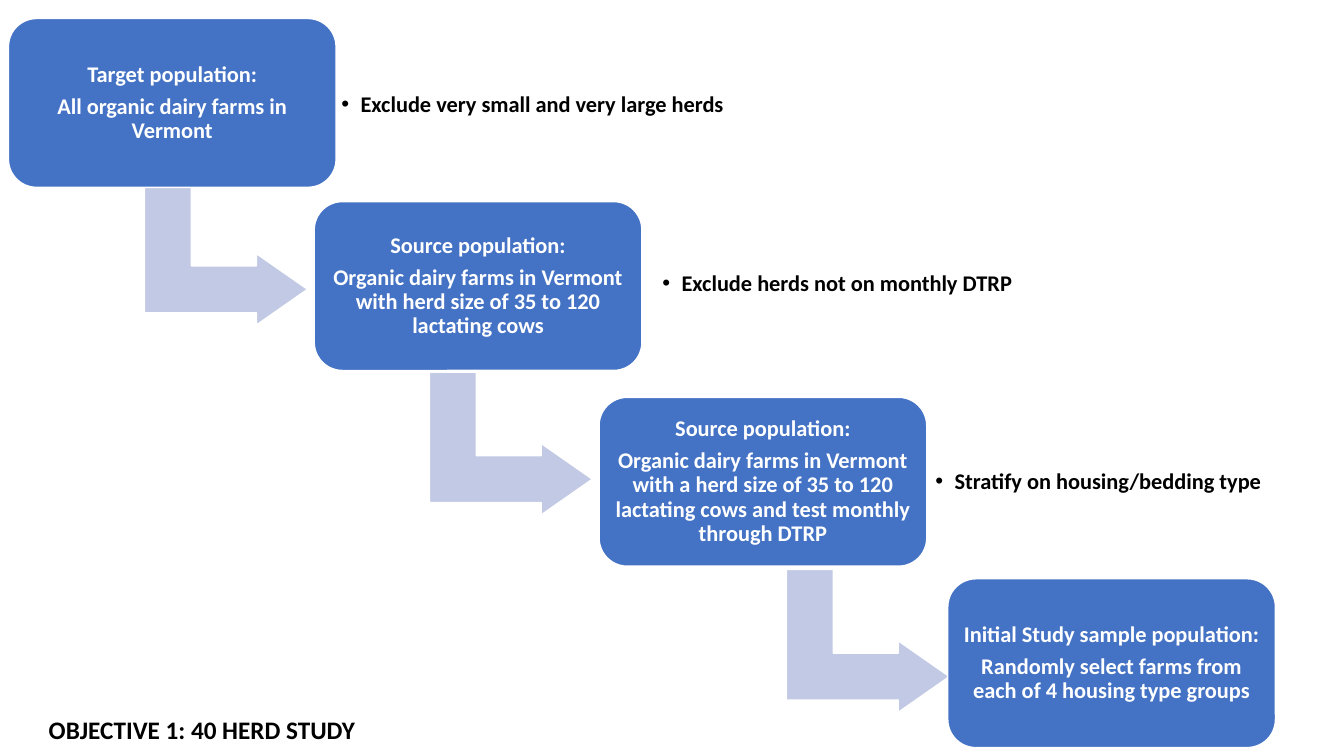
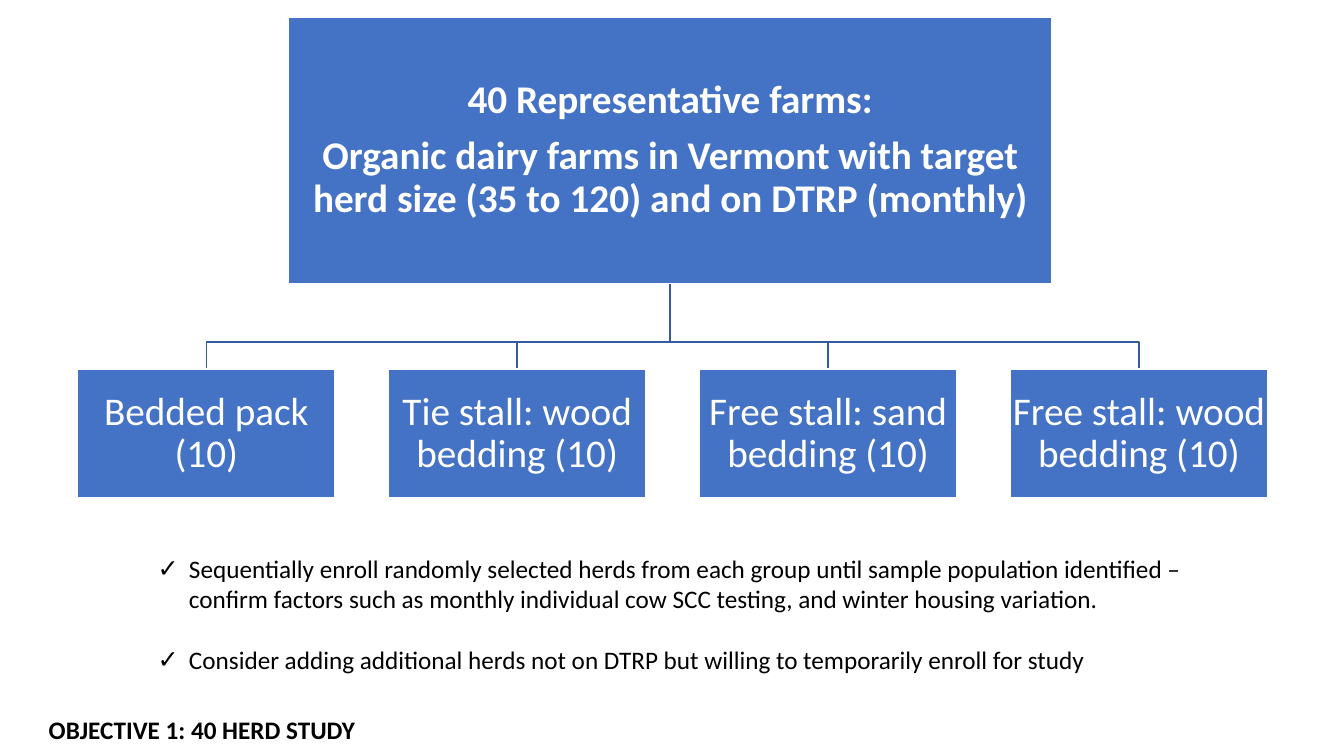
"""Builds the two slides on the herd study: selection steps and housing groups."""
from lxml import etree
from pptx import Presentation
from pptx import util as u
from pptx.dml.color import RGBColor
from pptx.enum import shapes, text
from pptx.oxml.ns import qn

COLS, ROWS = 160, 90  # the slide as a grid of square cells
BLUE, PALE, RULE, WHITE, BLACK = "4472C4", "C1C9E4", "365B9D", "FFFFFF", "000000"
FONT = "Calibri"
LABEL = "OBJECTIVE 1: 40 HERD STUDY"
LEFT, CENTER = text.PP_ALIGN.LEFT, text.PP_ALIGN.CENTER
TOP, MIDDLE = text.MSO_ANCHOR.TOP, text.MSO_ANCHOR.MIDDLE


def color(hex_code):
    """Turn a hex string into a colour."""
    return RGBColor.from_string(hex_code)


def add_bullet(paragraph, char, indent):
    """Give a paragraph a hanging bullet; indent is in inches."""
    props = paragraph._p.get_or_add_pPr()
    props.set("marL", str(u.Inches(indent)))
    props.set("indent", str(-u.Inches(indent)))
    etree.SubElement(props, qn("a:buFont")).set("typeface", "Arial")
    etree.SubElement(props, qn("a:buChar")).set("char", char)


def write(frame, *lines, size=16, bold=False, ink=BLACK, align=LEFT, anchor=TOP,
          spacing=1.0, after=0, margins=(0.1, 0.05), bullet=None, indent=0.19):
    """Fill a text frame, one paragraph a line; margins are inches across and down."""
    frame.word_wrap = True
    frame.auto_size = text.MSO_AUTO_SIZE.NONE
    frame.vertical_anchor = anchor
    frame.margin_left = frame.margin_right = u.Inches(margins[0])
    frame.margin_top = frame.margin_bottom = u.Inches(margins[1])
    for number, line in enumerate(lines):
        paragraph = frame.add_paragraph() if number else frame.paragraphs[0]
        paragraph.alignment = align
        paragraph.line_spacing = spacing
        paragraph.space_after = u.Pt(after)
        if bullet:
            add_bullet(paragraph, bullet, indent)
        run = paragraph.add_run()
        run.text = line
        run.font.name, run.font.size, run.font.bold = FONT, u.Pt(size), bold
        run.font.color.rgb = color(ink)


class Deck:
    """Holds the shared style and the current slide; lengths are grid cells."""

    def __init__(self):
        """Open an empty wide presentation."""
        self.show = Presentation()
        self.show.slide_width, self.show.slide_height = u.Inches(13.33), u.Inches(7.5)
        self.cell = self.show.slide_height / ROWS
        self.slide = None

    def span(self, *cells):
        """Turn grid cells into lengths."""
        return [u.Emu(round(cell * self.cell)) for cell in cells]

    def new_slide(self, label):
        """Start a slide with its title at the lower left."""
        self.slide = self.show.slides.add_slide(self.show.slide_layouts[5])
        title = self.slide.shapes.title
        title.left, title.top, title.width, title.height = self.span(4.6, 84.4, 49.7, 4.8)
        write(title.text_frame, label, size=18, bold=True)

    def shape(self, kind, x, y, w, h, fill=BLUE):
        """Add a filled preset shape with a thin white outline."""
        shape = self.slide.shapes.add_shape(kind, *self.span(x, y, w, h))
        shape.shadow.inherit = False
        shape.fill.solid()
        shape.fill.fore_color.rgb = color(fill)
        shape.line.color.rgb = color(WHITE)
        shape.line.width = u.Pt(1)
        return shape

    def box(self, kind, x, y, w, h, *lines, size=16, bold=True, margin=0.07):
        """Add a blue box with centred white text."""
        box = self.shape(kind, x, y, w, h)
        write(box.text_frame, *lines, size=size, bold=bold, ink=WHITE, align=CENTER,
              anchor=MIDDLE, spacing=0.9, after=0.35 * size, margins=(margin, margin))

    def step_arrow(self, x, y, w=19.4, h=17):
        """Add an arrow that goes down and then right within the given area."""
        shift = (w - h) / 2
        arrow = self.shape(shapes.MSO_SHAPE.BENT_UP_ARROW, x + shift, y - shift, h, w, PALE)
        arrow.rotation = 90
        for index, share in enumerate((0.328, 0.25, 0.358)):
            arrow.adjustments[index] = share

    def words(self, x, y, w, h, *lines, **style):
        """Add plain text."""
        area = self.slide.shapes.add_textbox(*self.span(x, y, w, h))
        write(area.text_frame, *lines, **style)

    def branch(self, *points):
        """Add an open outline through the points."""
        start, *rest = [self.span(*point) for point in points]
        builder = self.slide.shapes.build_freeform(*start)
        builder.add_line_segments(rest, close=False)
        branch = builder.convert_to_shape()
        branch.shadow.inherit = False
        branch.fill.background()
        branch.line.color.rgb = color(RULE)
        branch.line.width = u.Pt(1)


def selection_steps(deck):
    """Draw the steps from target population to study sample."""
    deck.new_slide(LABEL)
    # box corner, box text, arrow corner, note (left, top, width, text)
    steps = [
        ((1, 2.2), ("Target population:", "All organic dairy farms in Vermont"),
         (17.2, 21.7), (39.8, 4.4, 53, "Exclude very small and very large herds")),
        ((37.4, 24), ("Source population:", "Organic dairy farms in Vermont with herd "
                      "size of 35 to 120 lactating cows"),
         (51.1, 44.3), (78, 25.7, 52.8, "Exclude herds not on monthly DTRP")),
        ((71.3, 47.3), ("Source population:", "Organic dairy farms in Vermont with a herd "
                        "size of 35 to 120 lactating cows and test monthly through DTRP"),
         (93.6, 67.8), (110.5, 49.3, 44, "Stratify on housing/bedding type")),
        ((112.8, 68.9), ("Initial Study sample population:",
                         "Randomly select farms from each of 4 housing type groups"),
         None, None),
    ]
    for corner, population, arrow, note in steps:
        if arrow:
            deck.step_arrow(*arrow)
        deck.box(shapes.MSO_SHAPE.ROUNDED_RECTANGLE, *corner, 39, 20.1, *population)
        if note:
            x, y, w, criterion = note
            deck.words(x, y, w, 16.2, criterion, bold=True, anchor=MIDDLE, spacing=0.9,
                       after=2.4, margins=(0.07, 0.07), bullet="•")


def housing_groups(deck):
    """Draw the farms split into four housing groups, with the enrolment plan."""
    deck.new_slide(LABEL)
    groups = ["Bedded pack (10)", "Tie stall: wood bedding (10)",
              "Free stall: sand bedding (10)", "Free stall: wood bedding (10)"]
    first, pitch, width, top = 9.25, 37, 30.6, 43.95
    trunk, farms_bottom, fork = 79.75, 33.75, 40.7
    lefts = [first + pitch * column for column in range(len(groups))]
    for left in lefts:
        center = left + width / 2
        deck.branch((trunk, farms_bottom), (trunk, fork), (center, fork), (center, top))
    box_style = {"size": 28, "margin": 0.02}
    rectangle = shapes.MSO_SHAPE.RECTANGLE
    deck.box(rectangle, 34.35, 2.05, 90.8, 31.7, "40 Representative farms:",
             "Organic dairy farms in Vermont with target herd size (35 to 120) "
             "and on DTRP (monthly)", **box_style)
    for left, group in zip(lefts, groups):
        deck.box(rectangle, left, top, width, 15.3, group, bold=False, **box_style)
    deck.words(17.6, 65.3, 130.3, 19.4,
               "Sequentially enroll randomly selected herds from each group until sample "
               "population identified –confirm factors such as monthly individual cow SCC "
               "testing, and winter housing variation.",
               "Consider adding additional herds not on DTRP but willing to temporarily "
               "enroll for study",
               size=18, after=22, bullet="✓", indent=0.31)


deck = Deck()
selection_steps(deck)
housing_groups(deck)
deck.show.save("out.pptx")
